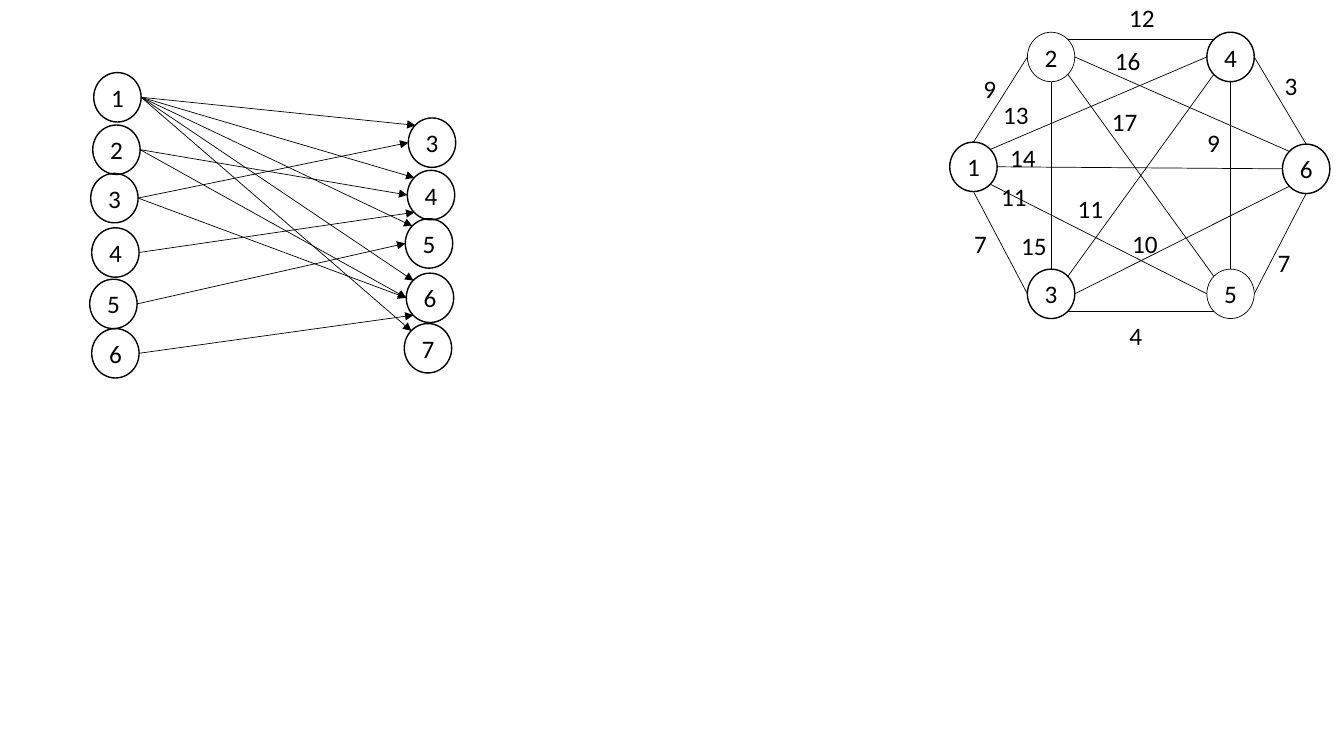
import pptx
import pptx.util
import pptx.dml.color
import pptx.enum.shapes
import pptx.enum.text
import pptx.oxml
import pptx.oxml.ns

PX = 9144  # 100 px to the inch
NODE_W, NODE_H = 47, 49
LABEL_W, LABEL_H = 55, 36
BLACK = "000000"

# Ellipse connection sites: index, then position across the box
SITES = {
    "top": (0, 0.5, 0), "top left": (1, 0.15, 0.15),
    "left": (2, 0, 0.5), "bottom left": (3, 0.15, 0.85),
    "bottom": (4, 0.5, 1), "bottom right": (5, 0.85, 0.85),
    "right": (6, 1, 0.5), "top right": (7, 0.85, 0.15),
}

graph_nodes = [  # number, left, top, line width
    (2, 1019, 32, 0.5), (1, 942, 141, 1), (5, 1197, 267, 0.5),
    (3, 1019, 267, 1), (4, 1197, 32, 1), (6, 1272, 143, 1),
]
left_nodes = [(1, 93, 72, 1), (2, 92, 124, 1), (3, 90, 172, 1),
              (4, 91, 226, 1), (5, 89, 277, 1), (6, 91, 326, 1)]
right_nodes = [(3, 405, 117, 1), (4, 404, 169, 1), (5, 402, 217, 1),
               (6, 403, 271, 1), (7, 401, 321, 1)]

graph_edges = [  # from, site, to, site, weight, label left, label top
    (1, "top", 2, "left", 9, 954, 70),
    (1, "top right", 4, "left", 13, 980, 96),
    (1, "right", 6, "left", 14, 987, 138),
    (1, "bottom right", 5, "left", 11, 978, 177),
    (1, "bottom", 3, "left", 7, 945, 224),
    (2, "top right", 4, "top left", 12, 1105, -1),
    (2, "right", 6, "top left", 16, 1091, 42),
    (2, "bottom right", 5, "top left", 17, 1088, 102),
    (2, "bottom", 3, "top", 15, 998, 226),
    (4, "bottom left", 3, "top right", 11, 1054, 189),
    (6, "bottom left", 3, "right", 10, 1108, 224),
    (5, "bottom left", 3, "bottom right", 4, 1099, 315),
    (4, "bottom", 5, "top", 9, 1176, 123),
    (6, "top", 4, "right", 3, 1253, 67),
    (5, "right", 6, "bottom", 7, 1246, 242),
]
arrows = [  # left node, right node, site on the right node
    (1, 3, "top left"), (1, 4, "top left"), (1, 5, "top left"),
    (1, 6, "top left"), (1, 7, "top left"),
    (2, 4, "left"), (2, 6, "left"), (3, 6, "left"), (3, 3, "left"),
    (4, 4, "bottom left"), (5, 5, "left"), (6, 6, "bottom left"),
]

prs = pptx.Presentation()
prs.slide_width, prs.slide_height = 1333 * PX, 750 * PX
s = prs.slides.add_slide(prs.slide_layouts[6])


def write_number(sp, number):
    tf = sp.text_frame
    tf.margin_left = tf.margin_right = tf.margin_top = tf.margin_bottom = 0
    tf.word_wrap = True
    tf.vertical_anchor = pptx.enum.text.MSO_ANCHOR.MIDDLE
    p = tf.paragraphs[0]
    p.text = str(number)
    p.alignment = pptx.enum.text.PP_ALIGN.CENTER
    font = p.runs[0].font
    font.name, font.size = "Calibri", pptx.util.Pt(18)
    font.color.rgb = pptx.dml.color.RGBColor.from_string(BLACK)


def connect(start, start_site, end, end_site, arrow=False):
    """Draw a line glued to connection sites of two nodes."""
    ends = []
    for sp, site in ((start, start_site), (end, end_site)):
        index, fx, fy = SITES[site]
        ends += [round(sp.left + fx * sp.width), round(sp.top + fy * sp.height)]
    cx = s.shapes.add_connector(pptx.enum.shapes.MSO_CONNECTOR.STRAIGHT, *ends)
    cx.line.width = pptx.util.Pt(0.5)
    cx.line.color.rgb = pptx.dml.color.RGBColor.from_string(BLACK)
    glue = cx.element.nvCxnSpPr.cNvCxnSpPr
    for link, sp, site in ((glue.get_or_add_stCxn(), start, start_site),
                           (glue.get_or_add_endCxn(), end, end_site)):
        link.id, link.idx = sp.shape_id, SITES[site][0]
    spPr = cx.element.spPr
    if arrow:
        head = pptx.oxml.parse_xml(
            f'<a:tailEnd {pptx.oxml.ns.nsdecls("a")} type="triangle"/>')
        spPr.find(pptx.oxml.ns.qn("a:ln")).append(head)
    spPr.append(pptx.oxml.parse_xml(f'<a:effectLst {pptx.oxml.ns.nsdecls("a")}/>'))


# Nodes of the weighted graph and of the two columns
groups = []
for nodes in (graph_nodes, left_nodes, right_nodes):
    group = {}
    for number, x, y, width in nodes:
        sp = s.shapes.add_shape(pptx.enum.shapes.MSO_SHAPE.OVAL,
                                x * PX, y * PX, NODE_W * PX, NODE_H * PX)
        sp.shadow.inherit = False
        sp.fill.background()
        sp.line.width = pptx.util.Pt(width)
        sp.line.color.rgb = pptx.dml.color.RGBColor.from_string(BLACK)
        write_number(sp, number)
        group[number] = sp
    groups.append(group)
graph, left, right = groups

# Edges with their weights
for start, start_site, end, end_site, weight, x, y in graph_edges:
    connect(graph[start], start_site, graph[end], end_site)
    label = s.shapes.add_textbox(x * PX, y * PX, LABEL_W * PX, LABEL_H * PX)
    write_number(label, weight)

# Arrows between the columns
for start, end, site in arrows:
    connect(left[start], "right", right[end], site, arrow=True)

prs.save("out.pptx")
